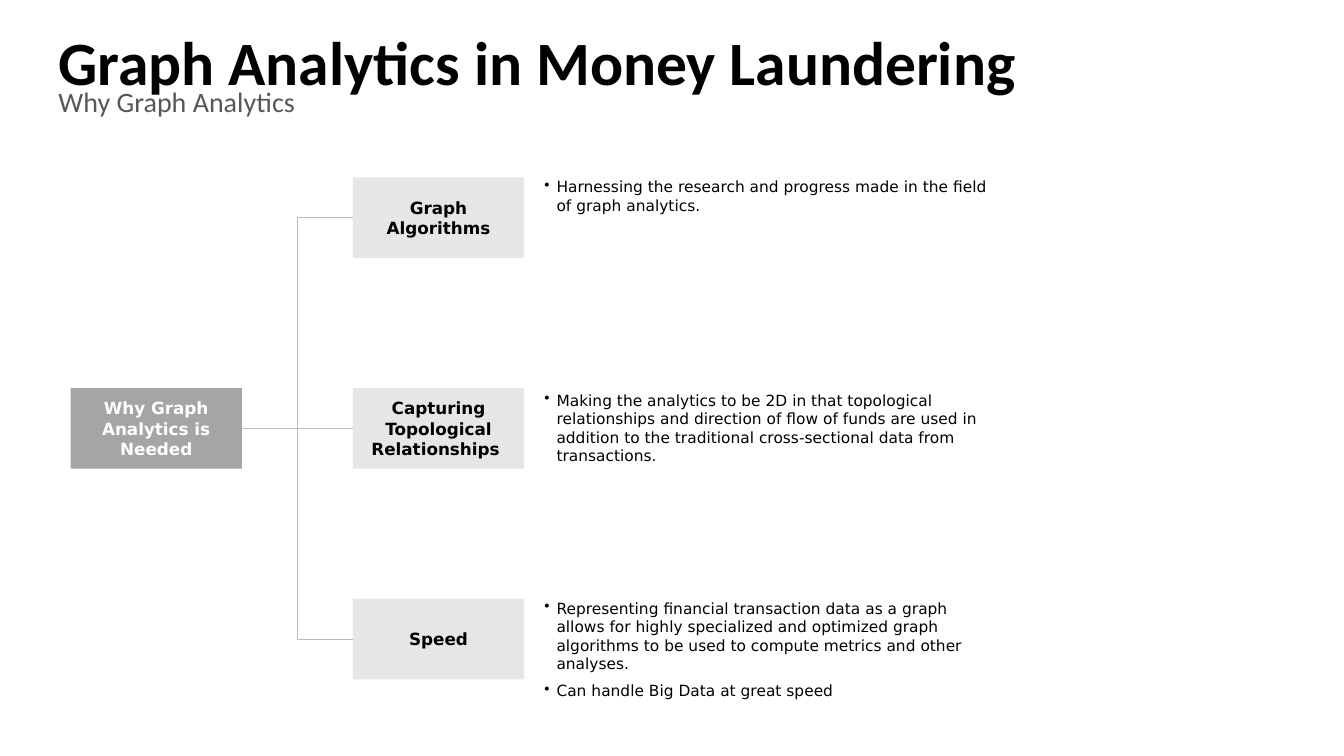
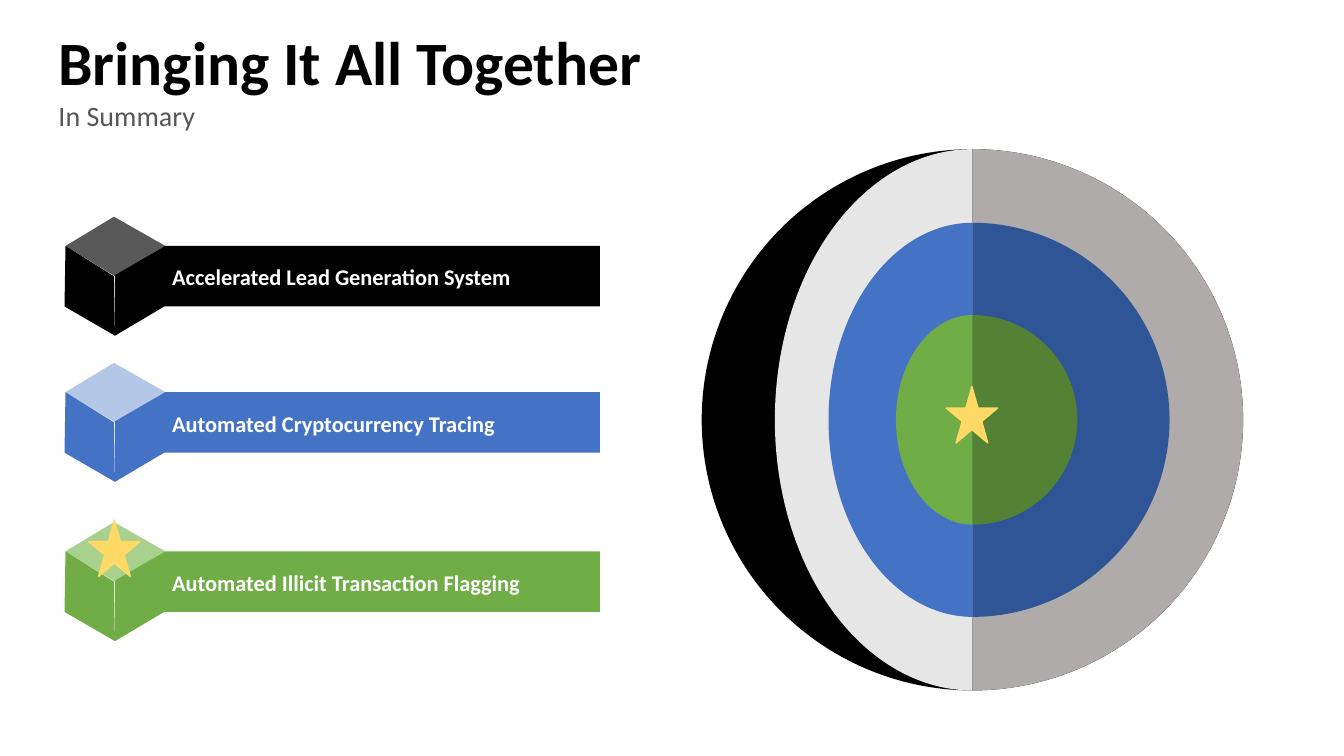
from pptx import Presentation
from pptx import util as u
from pptx.dml.color import RGBColor
from pptx.enum import shapes, text
from pptx.oxml.ns import qn
from lxml import etree

COLORS = {
    "black": "000000", "white": "FFFFFF", "subtitle": "575757",
    "hub": "A5A5A5", "node": "E7E6E6", "line": "BBBCBC",
    "shade": "AFABAB", "graphite": "595959",
    "blue": "4472C4", "navy": "2F5597", "sky": "B4C7E7",
    "green": "70AD47", "forest": "548235", "mint": "A9D18E",
    "gold": "FFD966",
}
HEAD, BODY = "Calibri", "DejaVu Sans"
SHAPE = shapes.MSO_SHAPE
ALIGN = text.PP_ALIGN
QUARTER, THREE_QUARTERS = 54, 162


def rgb(name):
    return RGBColor.from_string(COLORS[name])


def inches(*values):
    return [u.Inches(v) for v in values]


def style(tf, font, size, color, bold=False, align=ALIGN.LEFT, inset=0,
          anchor=text.MSO_ANCHOR.TOP, spacing=None):
    tf.word_wrap = True
    tf.auto_size = text.MSO_AUTO_SIZE.NONE
    tf.vertical_anchor = anchor
    tf.margin_left = tf.margin_right = u.Inches(inset)
    tf.margin_top = tf.margin_bottom = u.Inches(inset)
    for p in tf.paragraphs:
        p.alignment = align
        if spacing:
            p.line_spacing = spacing
        for r in p.runs:
            r.font.name, r.font.size, r.font.bold = font, u.Pt(size), bold
            r.font.color.rgb = rgb(color)


def paint(sp, color):
    sp.shadow.inherit = False
    sp.fill.solid()
    sp.fill.fore_color.rgb = rgb(color)
    sp.line.fill.background()
    return sp


def add_preset(parent, kind, box, color):
    return paint(parent.shapes.add_shape(kind, *inches(*box)), color)


def add_label(s, box, label, fill, **look):
    sp = add_preset(s, SHAPE.RECTANGLE, box, fill)
    sp.text_frame.text = label
    style(sp.text_frame, bold=True, inset=0.1,
          anchor=text.MSO_ANCHOR.MIDDLE, **look)
    return sp


def add_star(s, x, y):
    sp = add_preset(s, SHAPE.STAR_5_POINT, (x, y, 0.51, 0.56), "gold")
    sp.line.color.rgb = rgb("gold")
    sp.line.width = u.Pt(1)


def titled_slide(prs, title, subtitle, subtitle_top):
    s = prs.slides.add_slide(prs.slide_layouts[5])
    sp = s.shapes.title
    sp.left, sp.top, sp.width, sp.height = inches(0.58, 0.32, 12.18, 0.51)
    sp.text_frame.text = title
    style(sp.text_frame, HEAD, 44, "black", bold=True, spacing=0.9)
    sp = s.shapes.add_textbox(*inches(0.58, subtitle_top, 12.18, 0.83))
    sp.text_frame.text = subtitle
    style(sp.text_frame, HEAD, 20, "subtitle", spacing=0.9)
    return s


def add_bullets(s, box, lines):
    tf = s.shapes.add_textbox(*inches(*box)).text_frame
    tf.text = "\n".join(lines)
    style(tf, BODY, 11, "black")
    for p in tf.paragraphs:
        p.level = 1
        p.space_before = u.Pt(6)
        pPr = p._p.get_or_add_pPr()
        pPr.set("marL", str(u.Inches(0.12)))
        pPr.set("indent", str(-u.Inches(0.12)))
        etree.SubElement(pPr, qn("a:buChar")).set("char", "•")


def add_branch(s, hub, node):
    line = s.shapes.add_connector(shapes.MSO_CONNECTOR.ELBOW, 0, 0, 0, 0)
    line.begin_connect(hub, 3)
    line.end_connect(node, 1)
    line.line.color.rgb = rgb("line")
    line.line.width = u.Pt(0.5)
    etree.SubElement(line._element.spPr, qn("a:effectLst"))


def add_tree(s, box, hub_label, branches):
    x, y, w, h = box
    node_w, node_h = 1.7, 0.8
    pitch = (h - node_h) / (len(branches) - 1)
    look = dict(font=BODY, size=12, align=ALIGN.CENTER)
    hub = add_label(s, (x, y + (h - node_h) / 2, node_w, node_h),
                    hub_label, "hub", color="white", **look)
    for i, (label, lines, drop, text_h) in enumerate(branches):
        top = y + i * pitch
        node = add_label(s, (x + 2.8, top, node_w, node_h),
                         label, "node", color="black", **look)
        add_branch(s, hub, node)
        add_bullets(s, (x + 4.7, top + drop, w - 4.7, text_h), lines)


def add_cube(s, x, y, side, lid):
    faces = [
        (lid, [(0.01, 0.29), (0.49, 0), (1, 0.29), (0.5, 0.59)]),
        (side, [(0.5, 0.58), (0.5, 1.18), (0.99, 0.89), (1, 0.29)]),
        (side, [(0, 0.89), (0.01, 0.29), (0.49, 0.59), (0.5, 1.18)]),
    ]
    cube = s.shapes.add_group_shape()
    for color, corners in faces:
        points = [inches(x + dx, y + dy) for dx, dy in corners]
        outline = cube.shapes.build_freeform(*points[0])
        outline.add_line_segments(points[1:], close=True)
        paint(outline.convert_to_shape(), color)


def add_banner(s, box, label, side, lid):
    x, y, w, h = box
    add_label(s, (x + 0.97, y, w - 0.97, h), label, side,
              font=HEAD, size=16, color="white", spacing=1.06)
    add_cube(s, x, y - 0.29, side, lid)


def add_half(parent, center, w, h, start, end, color):
    cx, cy = center
    sp = add_preset(parent, SHAPE.ARC, (cx - w / 2, cy - h / 2, w, h), color)
    sp.adjustments[0], sp.adjustments[1] = start, end


def add_globe(s, box, layers):
    x, y, w, h = box
    center = (x + w / 2, y + h / 2)
    add_preset(s, SHAPE.OVAL, box, "black")
    for diameter, light, dark in layers:
        layer = s.shapes.add_group_shape()
        add_half(layer, center, diameter, diameter,
                 THREE_QUARTERS, QUARTER, dark)
        add_half(layer, center, diameter * 0.73, diameter,
                 QUARTER, THREE_QUARTERS, light)
    add_star(s, center[0] - 0.26, center[1] - 0.33)


def reasons_slide(prs):
    s = titled_slide(prs, "Graph Analytics in Money Laundering",
                     "Why Graph Analytics", 0.88)
    add_tree(s, (0.7, 1.76, 9.2, 4.98), "Why Graph Analytics is Needed", [
        ("Graph Algorithms",
         ["Harnessing the research and progress made in the field of "
          "graph analytics."], 0, 0.37),
        ("Capturing Topological Relationships ",
         ["Making the analytics to be 2D in that topological relationships "
          "and direction of flow of funds are used in addition to the "
          "traditional cross-sectional data from transactions. "], 0.03, 0.74),
        ("Speed",
         ["Representing financial transaction data as a graph allows for "
          "highly specialized and optimized graph algorithms to be used to "
          "compute metrics and other analyses. ",
          "Can handle Big Data at great speed"], 0, 1.28),
    ])


def summary_slide(prs):
    s = titled_slide(prs, "Bringing It All Together", "In Summary", 1.02)
    for top, label, side, lid in [
        (2.44, "Accelerated Lead Generation System", "black", "graphite"),
        (3.89, "Automated Cryptocurrency Tracing", "blue", "sky"),
        (5.47, "Automated Illicit Transaction Flagging", "green", "mint"),
    ]:
        add_banner(s, (0.64, top, 5.31, 0.6), label, side, lid)
    add_globe(s, (6.96, 1.48, 5.37, 5.37), [
        (5.37, "node", "shade"),
        (3.91, "blue", "navy"),
        (2.08, "green", "forest"),
    ])
    add_star(s, 0.88, 5.16)


prs = Presentation()
prs.slide_width, prs.slide_height = inches(13.33, 7.5)
reasons_slide(prs)
summary_slide(prs)
prs.save("out.pptx")
